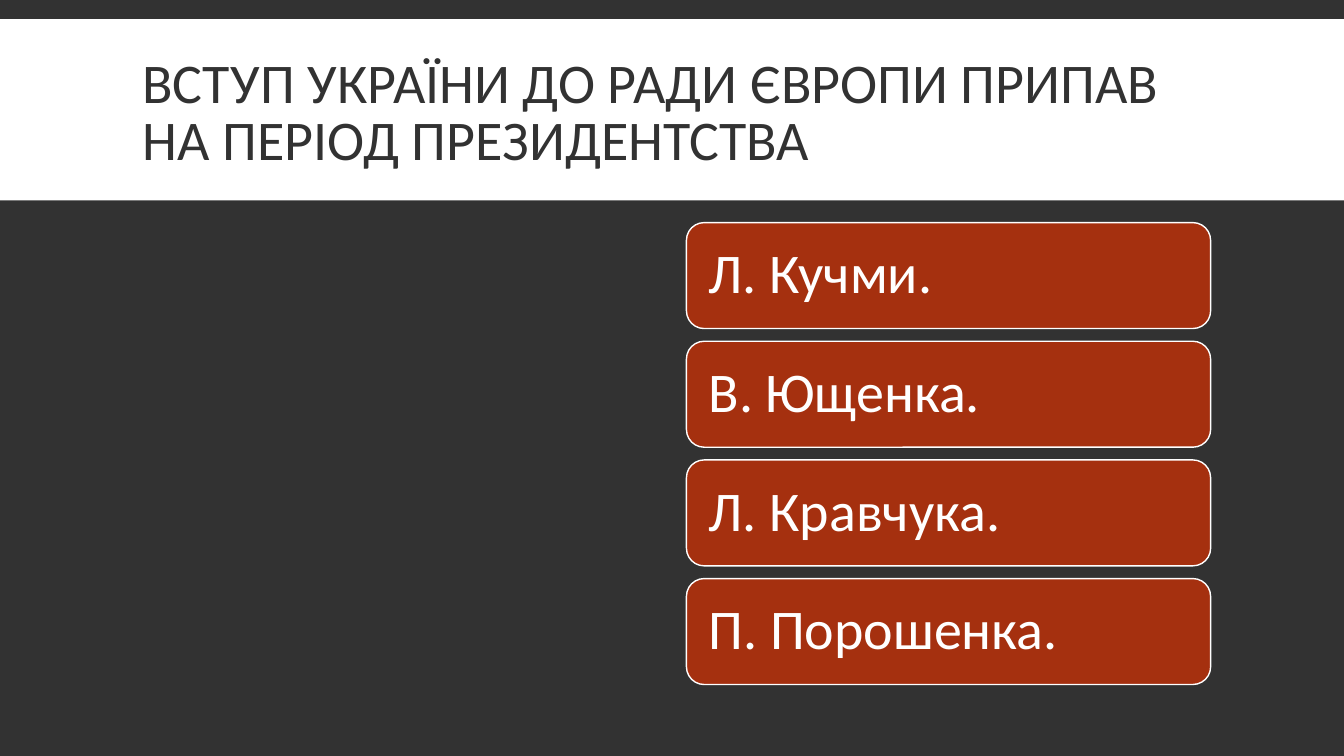
from pptx import Presentation
from pptx.dml.color import RGBColor as Rgb
from pptx.enum.shapes import MSO_SHAPE as Kind
from pptx.enum.text import MSO_ANCHOR as Anchor, PP_ALIGN as Align
from pptx.util import Cm, Pt

HUES = {"dark": "323232", "white": "FFFFFF", "rust": "A5300F"}
WIDE, HIGH = 33.87, 19.05


class Deck:
    font = {"name": "Calibri", "size": Pt(40)}
    frame = {"word_wrap": True, "vertical_anchor": Anchor.MIDDLE}

    def __init__(self):
        self.prs = Presentation()
        self.prs.slide_width, self.prs.slide_height = Cm(WIDE), Cm(HIGH)
        self.slide = self.prs.slides.add_slide(self.prs.slide_layouts[6])

    def tint(self, fill, hue):
        fill.solid()
        fill.fore_color.rgb = Rgb.from_string(HUES[hue])

    def back(self, hue):
        self.tint(self.slide.background.fill, hue)

    def shape(self, kind, box, hue, edge=None):
        item = self.slide.shapes.add_shape(kind, *map(Cm, box))
        item.shadow.inherit = False
        self.tint(item.fill, hue)
        if edge:
            self.tint(item.line.fill, edge)
            item.line.width = Pt(1)
        else:
            item.line.fill.background()
        return item

    def label(self, item, words, hue, space, pad):
        frame = item.text_frame
        sides = ("left", "right", "top", "bottom")
        pads = {f"margin_{side}": Cm(pad) for side in sides}
        para = frame.paragraphs[0]
        para.text = words
        lines = {"alignment": Align.LEFT, "line_spacing": space}
        for part, style in ((frame, self.frame | pads), (para, lines),
                            (para.font, self.font)):
            for key, value in style.items():
                setattr(part, key, value)
        para.font.color.rgb = Rgb.from_string(HUES[hue])

    def title(self, box, words):
        item = self.slide.shapes.add_textbox(*map(Cm, box))
        self.label(item, words, "dark", 0.85, 0.25)

    def card(self, box, words):
        item = self.shape(Kind.ROUNDED_RECTANGLE, box, "rust", "white")
        self.label(item, words, "white", 0.9, 0.43)


def main():
    deck = Deck()
    deck.back("dark")

    # Title band
    deck.shape(Kind.RECTANGLE, (0, 0.48, WIDE, 4.57), "white")
    deck.title((3.35, 0.79, 27.18, 4.19),
               "ВСТУП УКРАЇНИ ДО РАДИ ЄВРОПИ ПРИПАВ НА ПЕРІОД ПРЕЗИДЕНТСТВА")

    # Answer cards
    left, top, wide, high, gap = 17.3, 5.61, 13.21, 2.67, 0.32
    names = ("Л. Кучми.", "В. Ющенка.", "Л. Кравчука.", "П. Порошенка.")
    for row, name in enumerate(names):
        deck.card((left, top + row * (high + gap), wide, high), name)

    deck.prs.save("out.pptx")


if __name__ == "__main__":
    main()
